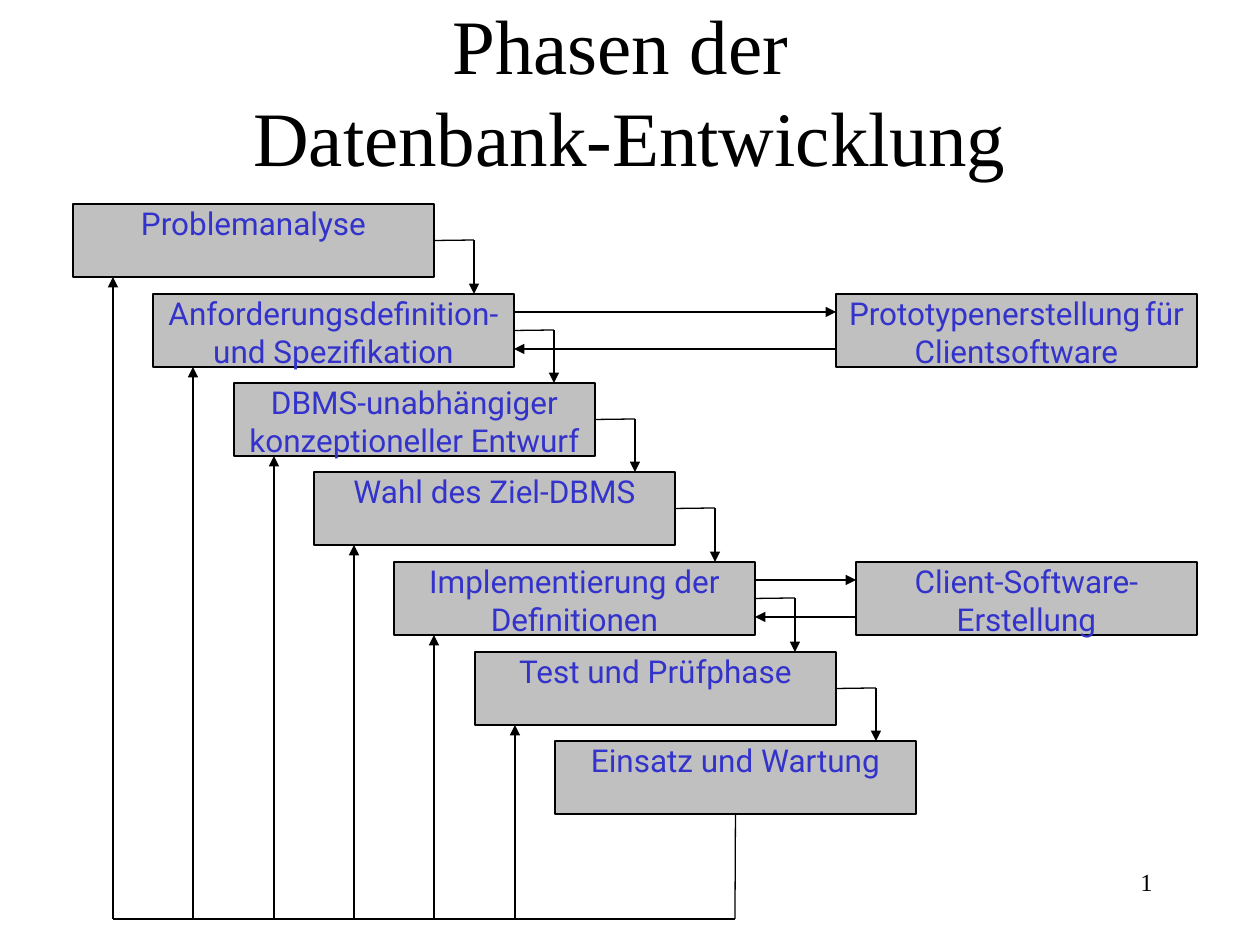
from dataclasses import dataclass
from typing import Optional

from lxml import etree
from pptx import Presentation
from pptx import util as u
from pptx.dml.color import RGBColor
from pptx.enum import shapes, text
from pptx.oxml.ns import qn

PX = 914400 // 126  # one px in EMU
BOX_WIDTH, BOX_HEIGHT = 361, 73
FIRST_LEFT, LAST_LEFT = 73, 555
FIRST_TOP, LAST_TOP = 204, 741
INSET = 40  # distance of the vertical arrows from a box edge
BASELINE = 919  # common line of the feedback arrows
BLACK, GREY, BLUE = "000000", "C0C0C0", "3333CC"
SERIF, SANS = "Times New Roman", "Roboto"


@dataclass
class Run:
    words: str
    size: int = 18
    font: str = SANS
    color: str = BLUE


@dataclass
class Box:
    left: int
    top: int
    runs: list[Run]
    width: int = BOX_WIDTH

    @property
    def right(self) -> int:
        return self.left + self.width

    @property
    def bottom(self) -> int:
        return self.top + BOX_HEIGHT

    @property
    def middle(self) -> int:
        return self.top + BOX_HEIGHT // 2


def px(length: int) -> int:
    return u.Emu(length * PX)


def rgb(value: str) -> RGBColor:
    return RGBColor.from_string(value)


def apply(target, formats: dict) -> None:
    for name, value in formats.items():
        setattr(target, name, value)


def place(shape, left: int, top: int, width: int, height: int) -> None:
    apply(shape, {"left": px(left), "top": px(top),
                  "width": px(width), "height": px(height)})


def write(frame, runs: list[Run], alignment, anchor, margins=(0, 0)) -> None:
    side, edge = (u.Inches(margin) for margin in margins)
    apply(frame, {"word_wrap": True, "auto_size": text.MSO_AUTO_SIZE.NONE,
                  "vertical_anchor": anchor,
                  "margin_left": side, "margin_right": side,
                  "margin_top": edge, "margin_bottom": edge})
    paragraph = frame.paragraphs[0]
    paragraph.alignment = alignment
    for item in runs:
        for index, part in enumerate(item.words.split("\n")):
            if index:
                paragraph.add_line_break()
            run = paragraph.add_run()
            run.text = part
            apply(run.font, {"size": u.Pt(item.size), "name": item.font})
            run.font.color.rgb = rgb(item.color)


def draw_box(slide, box: Box):
    shape = slide.shapes.add_shape(
        shapes.MSO_SHAPE.RECTANGLE, px(box.left), px(box.top),
        px(box.width), px(BOX_HEIGHT))
    shape.shadow.inherit = False
    shape.fill.solid()
    shape.fill.fore_color.rgb = rgb(GREY)
    shape.line.color.rgb = rgb(BLACK)
    shape.line.width = u.Pt(0.75)
    write(shape.text_frame, box.runs, text.PP_ALIGN.CENTER, text.MSO_ANCHOR.TOP)
    return shape


def draw_line(slide, start: tuple[int, int], end: tuple[int, int],
              arrow: bool = False, source=None, site: Optional[int] = None):
    line = slide.shapes.add_connector(
        shapes.MSO_CONNECTOR.STRAIGHT, *map(px, start + end))
    line.line.color.rgb = rgb(BLACK)
    line.line.width = u.Pt(0.75)
    if arrow:
        etree.SubElement(line.line._get_or_add_ln(), qn("a:tailEnd"), type="triangle")
    etree.SubElement(line._element.spPr, qn("a:effectLst"))
    if source is not None:
        line.begin_connect(source, site)


def draw_exchange(slide, phase: Box, partner: Box) -> None:
    quarter = BOX_HEIGHT // 4
    upper, lower = phase.top + quarter, phase.bottom - quarter
    draw_line(slide, (phase.right, upper), (partner.left, upper), arrow=True)
    draw_line(slide, (partner.left, lower), (phase.right, lower), arrow=True)


def main() -> None:
    presentation = Presentation()
    apply(presentation, {"slide_width": u.Inches(10), "slide_height": u.Inches(7.5)})
    slide = presentation.slides.add_slide(presentation.slide_layouts[5])

    # Title
    title = slide.shapes.title
    place(title, 126, 32, 1008, 116)
    write(title.text_frame, [Run("Phasen der \nDatenbank-Entwicklung", 44, SERIF, BLACK)],
          text.PP_ALIGN.CENTER, text.MSO_ANCHOR.MIDDLE, (0.1, 0.05))

    # Staircase of phases
    names = [
        "Problemanalyse",
        "Anforderungsdefinition- und Spezifikation",
        "DBMS-unabhängiger konzeptioneller Entwurf",
        "Wahl des Ziel-DBMS",
        "Implementierung der Definitionen",
        "Test und Prüfphase",
        "Einsatz und Wartung",
    ]
    steps = len(names) - 1
    phases = [Box(FIRST_LEFT + round(i * (LAST_LEFT - FIRST_LEFT) / steps),
                  FIRST_TOP + round(i * (LAST_TOP - FIRST_TOP) / steps), [Run(name)])
              for i, name in enumerate(names)]
    drawn = [draw_box(slide, phase) for phase in phases]

    # Steps down to the next phase and feedback arrows up
    for phase, following, shape in zip(phases, phases[1:], drawn):
        corner = (phase.right + INSET, phase.middle)
        draw_line(slide, (phase.right, phase.middle), corner, source=shape, site=3)
        draw_line(slide, corner, (corner[0], following.top), arrow=True)
        foot = phase.left + INSET
        draw_line(slide, (foot, BASELINE), (foot, phase.bottom), arrow=True)

    # Return line from the last phase
    last = phases[-1]
    center = last.left + last.width // 2
    draw_line(slide, (center, last.bottom), (center, BASELINE), source=drawn[-1], site=2)
    draw_line(slide, (phases[0].left + INSET, BASELINE), (center, BASELINE))

    # Client software beside two of the phases
    gap = Run(" ", 10, SERIF, BLACK)
    prototype = Box(836, phases[1].top, [Run("Prototypenerstellung"), gap, Run("für"),
                                         gap, Run("Clientsoftware")])
    client = Box(856, phases[4].top, [Run("Client-Software-Erstellung")], 341)
    for phase, partner in ((phases[1], prototype), (phases[4], client)):
        draw_box(slide, partner)
        draw_exchange(slide, phase, partner)

    # Page number
    number = slide.shapes.add_textbox(px(903), px(861), px(262), px(63))
    write(number.text_frame, [Run("1", 14, SERIF, BLACK)],
          text.PP_ALIGN.RIGHT, text.MSO_ANCHOR.TOP, (0.1, 0.05))

    presentation.save("out.pptx")


if __name__ == "__main__":
    main()
